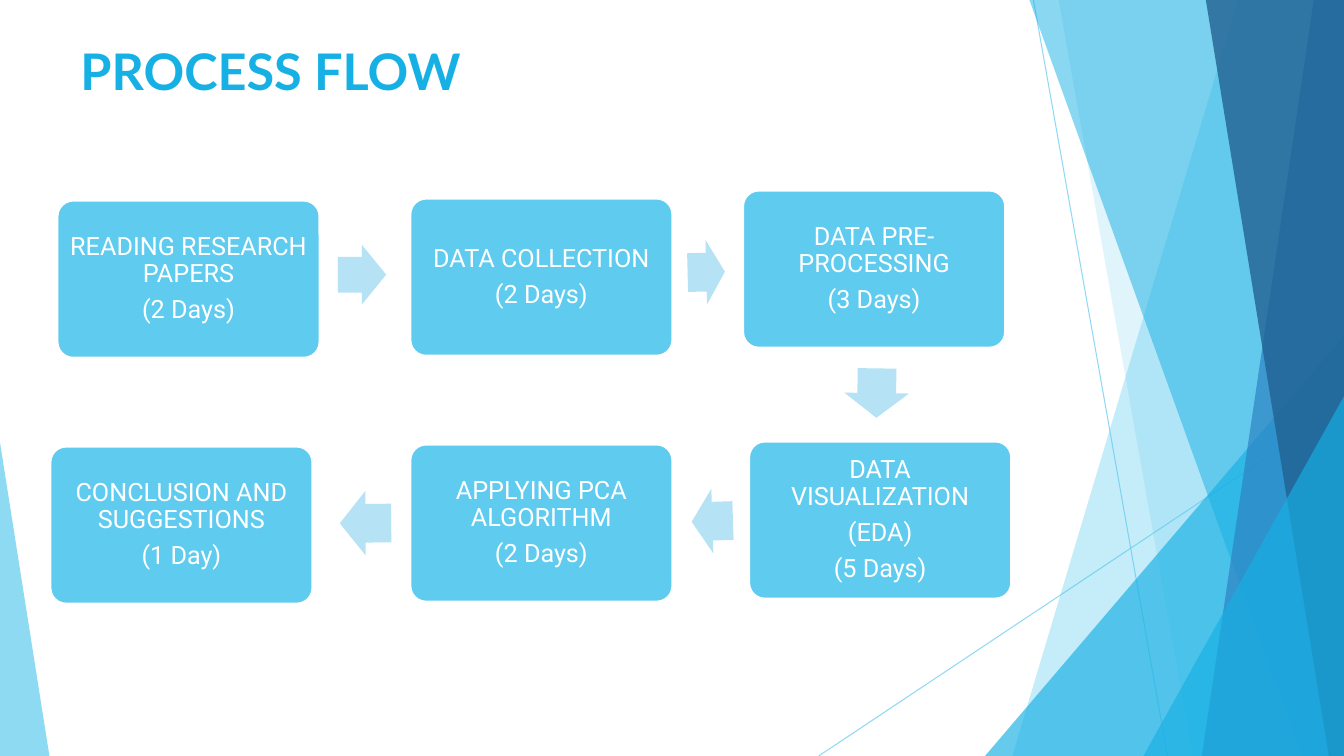
from dataclasses import dataclass

from lxml.etree import SubElement
from pptx import Presentation
from pptx.dml.color import RGBColor
from pptx.enum.shapes import MSO_CONNECTOR, MSO_SHAPE
from pptx.enum.text import MSO_ANCHOR, PP_ALIGN
from pptx.oxml.ns import qn
from pptx.util import Inches, Pt


@dataclass(frozen=True)
class Theme:
    sky: str = "5FCBEF"
    azure: str = "17B0E4"
    blue: str = "2E83C3"
    navy: str = "226292"
    pale: str = "B6E2F6"
    white: str = "FFFFFF"
    title_font: str = "Lato"
    step_font: str = "Roboto"
    title_size: int = 36
    step_size: int = 18


THEME = Theme()
WIDTH, HEIGHT = 13.33, 7.5
STEP_WIDTH, STEP_HEIGHT = 2.6, 1.56

STEPS = [
    (0.57, 1.99, "READING RESEARCH PAPERS\n(2 Days)"),
    (4.07, 1.97, "DATA COLLECTION\n(2 Days)"),
    (7.37, 1.89, "DATA PRE-PROCESSING\n(3 Days)"),
    (7.43, 4.38, "DATA VISUALIZATION\n(EDA)\n(5 Days)"),
    (4.07, 4.41, "APPLYING PCA ALGORITHM\n(2 Days)"),
    (0.5, 4.43, "CONCLUSION AND SUGGESTIONS\n(1 Day)"),
]

ARROWS = [
    (3.35, 2.43, 0.48, 0.59, 0),
    (6.82, 2.38, 0.37, 0.64, 358.6),
    (8.45, 3.58, 0.49, 0.64, 90.8),
    (6.86, 4.85, 0.41, 0.64, 178.2),
    (3.37, 4.87, 0.51, 0.64, 179.7),
]


def rgb(color):
    return RGBColor.from_string(color)


def set_opacity(element, percent):
    for color in element.spPr.iter(qn("a:srgbClr")):
        SubElement(color, qn("a:alpha"), val=str(percent * 1000))


def paint(shape, color, opacity=100):
    shape.shadow.inherit = False
    shape.fill.solid()
    shape.fill.fore_color.rgb = rgb(color)
    shape.line.fill.background()
    if opacity < 100:
        set_opacity(shape._element, opacity)


def style_runs(paragraph, font, size, color, bold=False):
    for run in paragraph.runs:
        run.font.name = font
        run.font.size = Pt(size)
        run.font.bold = bold
        run.font.color.rgb = rgb(color)


def add_hairline(slide, start, end):
    ends = [Inches(value) for value in (*start, *end)]
    hairline = slide.shapes.add_connector(MSO_CONNECTOR.STRAIGHT, *ends)
    hairline.line.color.rgb = rgb(THEME.sky)
    hairline.line.width = Pt(0.75)
    set_opacity(hairline._element, 70)
    SubElement(hairline._element.spPr, qn("a:effectLst"))


def add_facet(slide, top_left, bottom_left, color, opacity):
    builder = slide.shapes.build_freeform(Inches(top_left), 0)
    corners = [(WIDTH, 0), (WIDTH, HEIGHT), (bottom_left, HEIGHT)]
    builder.add_line_segments([(Inches(x), Inches(y)) for x, y in corners])
    paint(builder.convert_to_shape(), color, opacity)


def add_corner(slide, left, top, width, apex, color, opacity):
    box = [Inches(value) for value in (left, top, width, HEIGHT - top)]
    corner = slide.shapes.add_shape(MSO_SHAPE.ISOSCELES_TRIANGLE, *box)
    corner.adjustments[0] = apex
    paint(corner, color, opacity)


def add_backdrop(slide):
    add_hairline(slide, (10.25, 0), (11.58, HEIGHT))
    add_hairline(slide, (WIDTH, 4.03), (8.12, HEIGHT))
    add_facet(slide, 12.28, 10.04, THEME.sky, 36)
    add_facet(slide, 10.5, 11.83, THEME.sky, 20)
    add_corner(slide, 9.77, 3.33, 3.56, 1, THEME.azure, 66)
    add_facet(slide, 10.21, 12.91, THEME.azure, 50)
    add_facet(slide, 13.03, 11.92, THEME.blue, 70)
    add_facet(slide, 11.96, 13.18, THEME.navy, 80)
    add_corner(slide, 11.34, 3.93, 1.99, 1, THEME.azure, 66)
    add_corner(slide, 0, 4.39, 0.49, 0, THEME.sky, 70)


def add_title(slide, wording):
    title = slide.shapes.add_textbox(Inches(0.7), Inches(0.35), Inches(9.4), Inches(1.29))
    frame = title.text_frame
    frame.word_wrap = True
    frame.text = wording
    style_runs(frame.paragraphs[0], THEME.title_font, THEME.title_size, THEME.azure, True)


def add_step(slide, left, top, wording):
    step = slide.shapes.add_shape(
        MSO_SHAPE.ROUNDED_RECTANGLE,
        Inches(left), Inches(top), Inches(STEP_WIDTH), Inches(STEP_HEIGHT),
    )
    step.adjustments[0] = 0.1
    paint(step, THEME.sky)
    step.line.color.rgb = rgb(THEME.white)
    step.line.width = Pt(1.5)
    frame = step.text_frame
    frame.word_wrap = True
    frame.vertical_anchor = MSO_ANCHOR.MIDDLE
    frame.margin_left = frame.margin_right = Inches(0.07)
    frame.margin_top = frame.margin_bottom = Inches(0.07)
    frame.text = wording
    for paragraph in frame.paragraphs:
        paragraph.alignment = PP_ALIGN.CENTER
        paragraph.line_spacing = 0.9
        paragraph.space_after = Pt(0.35 * THEME.step_size)
        style_runs(paragraph, THEME.step_font, THEME.step_size, THEME.white)


def add_arrow(slide, left, top, width, height, rotation):
    box = [Inches(value) for value in (left, top, width, height)]
    arrow = slide.shapes.add_shape(MSO_SHAPE.RIGHT_ARROW, *box)
    arrow.adjustments[0] = 0.6
    arrow.adjustments[1] = 0.5
    arrow.rotation = rotation
    paint(arrow, THEME.pale)


def main():
    deck = Presentation()
    deck.slide_width = Inches(WIDTH)
    deck.slide_height = Inches(HEIGHT)
    slide = deck.slides.add_slide(deck.slide_layouts[6])
    add_backdrop(slide)
    add_title(slide, "PROCESS FLOW")
    for step in STEPS:
        add_step(slide, *step)
    for arrow in ARROWS:
        add_arrow(slide, *arrow)
    deck.save("out.pptx")


main()
